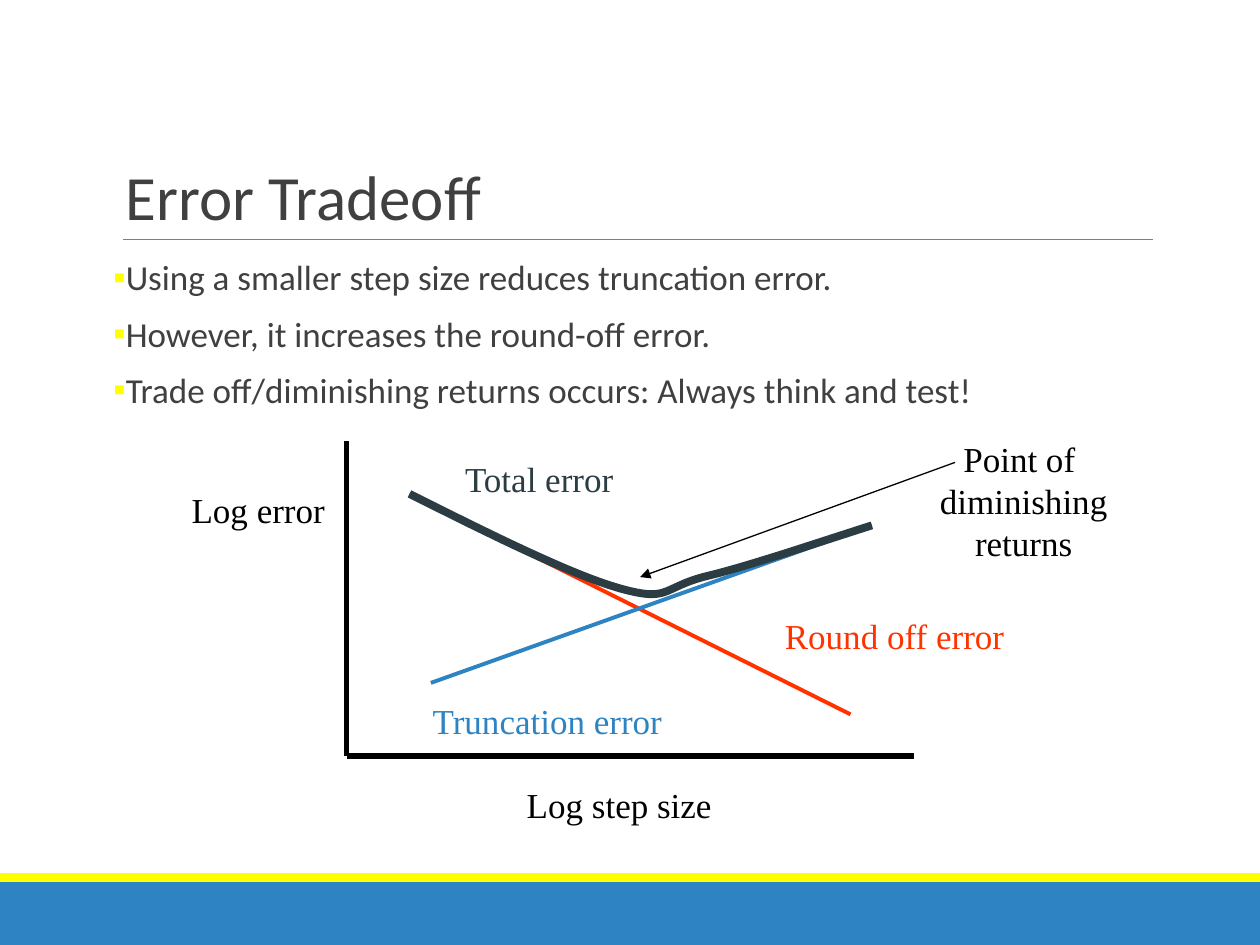
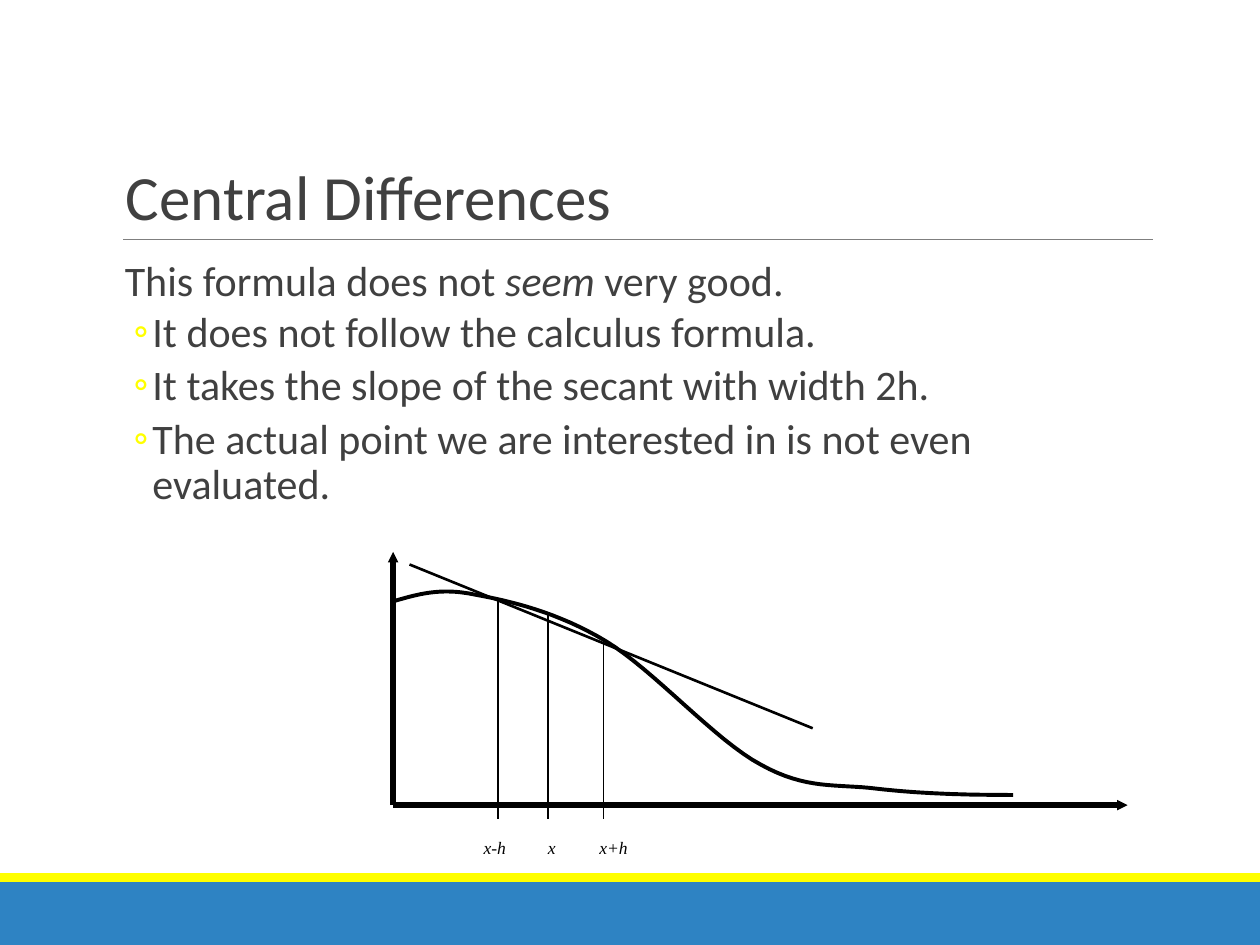
from dataclasses import dataclass

from lxml.etree import SubElement
from pptx import Presentation
from pptx.dml.color import RGBColor
from pptx.enum.shapes import MSO_CONNECTOR, MSO_SHAPE
from pptx.enum.text import MSO_ANCHOR, PP_ALIGN
from pptx.oxml.ns import qn
from pptx.util import Pt

PX = 9144  # EMU per px, 100 px to the inch
CURVE_STEPS = 16


@dataclass(frozen=True)
class Theme:
    blue: str = "2E83C3"
    yellow: str = "FFFF00"
    red: str = "FF3300"
    slate: str = "2C3C43"
    grey: str = "7F7F7F"
    ink: str = "404040"
    black: str = "000000"
    text_font: str = "Calibri"
    chart_font: str = "Times New Roman"
    title_size: int = 36
    label_size: int = 20
    tick_size: int = 10


@dataclass(frozen=True)
class BodyStyle:
    size: int
    bullet: str
    left: int
    indent: int
    before: float
    after: float


THEME = Theme()
POINT = BodyStyle(20, "▪", 7, -7, 9, 1.5)
LEAD = BodyStyle(24, "", 9, 0, 9, 1.5)
SUBPOINT = BodyStyle(24, "◦", 31, -15, 1.5, 3)

# Body paragraphs: style, then spans that alternate upright and italic
TRADEOFF_BODY = [
    (POINT, ["Using a smaller step size reduces truncation error."]),
    (POINT, ["However, it increases the round-off error."]),
    (POINT, ["Trade off/diminishing returns occurs: Always think and test!"]),
]
CENTRAL_BODY = [
    (LEAD, ["This formula does not ", "seem", " very good."]),
    (SUBPOINT, ["It does not follow the calculus formula."]),
    (SUBPOINT, ["It takes the slope of the secant with width 2h."]),
    (SUBPOINT, ["The actual point we are interested in is not even evaluated."]),
]

# Lines: start, end, colour, width in points
TRADEOFF_LINES = [
    ((275, 350), (275, 600), THEME.black, 3),
    ((275, 600), (725, 600), THEME.black, 3),
    ((325, 392), (675, 567), THEME.red, 2.25),
    ((342, 542), (692, 417), THEME.blue, 2.25),
]
# Curves: start point, then two control points and an end point for each piece
TOTAL_ERROR = [
    (325, 392),
    (389, 424), (453, 456), (492, 467),
    (531, 478), (525, 467), (558, 458),
    (592, 450), (642, 433), (692, 417),
]
# Labels: lines, left, top, width, colour
TRADEOFF_LABELS = [
    (["Log error"], 142, 383, 126, THEME.black),
    (["Log step size"], 408, 617, 167, THEME.black),
    (["Truncation error"], 333, 550, 203, THEME.blue),
    (["Round off error"], 613, 483, 194, THEME.red),
    (["Total error"], 358, 358, 140, THEME.slate),
    (["Point of ", "diminishing", "returns"], 736, 342, 153, THEME.black),
]
DIMINISHING_ARROW = ((758, 367), (508, 458))

ORIGIN = (312, 639)
AXIS_TIPS = [(312, 438), (895, 639)]
FUNCTION_CURVE = [
    (313, 477),
    (331, 472), (349, 466), (377, 472),
    (405, 477), (443, 486), (481, 509),
    (519, 532), (568, 588), (604, 607),
    (640, 627), (663, 622), (696, 626),
    (730, 630), (767, 631), (804, 631),
]
SECANT = ((325, 448), (645, 578))
TICK_BOTTOM = 650
# Ticks: label, x, top of the line, label left, label width
TICKS = [
    ("x-h", 395, 475, 374, 50),
    ("x", 435, 487, 425, 40),
    ("x+h", 479, 507, 466, 60),
]


def emu(*lengths):
    return [round(length * PX) for length in lengths]


def rgb(colour):
    return RGBColor.from_string(colour)


def add_band(page, top, height, colour):
    band = page.shapes.add_shape(MSO_SHAPE.RECTANGLE, *emu(0, top, 1000, height))
    band.shadow.inherit = False
    band.fill.solid()
    band.fill.fore_color.rgb = rgb(colour)
    band.line.fill.background()


def add_line(shapes, start, end, colour, width, head=None):
    """Draw a line; head is the arrowhead size at its end, "sm" or "med"."""
    line = shapes.add_connector(MSO_CONNECTOR.STRAIGHT, *emu(*start, *end))
    line.line.color.rgb = rgb(colour)
    line.line.width = Pt(width)
    if head:
        SubElement(line.line._get_or_add_ln(), qn("a:tailEnd"),
                   type="triangle", w=head, len=head)
    SubElement(line._element.spPr, qn("a:effectLst"))


def bezier_points(knots):
    """Sample a chain of cubic Bezier pieces."""
    for first in range(0, len(knots) - 1, 3):
        piece = knots[first:first + 4]
        for step in range(1, CURVE_STEPS + 1):
            t = step / CURVE_STEPS
            weights = ((1 - t) ** 3, 3 * t * (1 - t) ** 2, 3 * t * t * (1 - t), t ** 3)
            yield [sum(w * knot[axis] for w, knot in zip(weights, piece))
                   for axis in (0, 1)]


def add_curve(shapes, knots, colour, width):
    builder = shapes.build_freeform(*emu(*knots[0]))
    builder.add_line_segments([emu(*point) for point in bezier_points(knots)], close=False)
    curve = builder.convert_to_shape()
    curve.shadow.inherit = False
    curve.fill.background()
    curve.line.color.rgb = rgb(colour)
    curve.line.width = Pt(width)


def set_font(font, name, size, colour, italic=None):
    font.name = name
    font.size = Pt(size)
    font.color.rgb = rgb(colour)
    font.italic = italic


def add_label(shapes, lines, left, top, width, height, size, colour,
              align=PP_ALIGN.CENTER, italic=None):
    box = shapes.add_textbox(*emu(left, top, width, height))
    frame = box.text_frame
    # Centred labels may outgrow their box; left-aligned ones have room to spare
    frame.word_wrap = align == PP_ALIGN.LEFT
    frame.text = "\n".join(lines)
    for para in frame.paragraphs:
        para.alignment = align
        set_font(para.font, THEME.chart_font, size, colour, italic)


def add_title(page, title):
    frame = page.shapes.add_textbox(*emu(90, 31, 825, 159)).text_frame
    frame.word_wrap = True
    frame.vertical_anchor = MSO_ANCHOR.BOTTOM
    para = frame.paragraphs[0]
    para.text = title
    para.line_spacing = 0.85
    set_font(para.font, THEME.text_font, THEME.title_size, THEME.ink)


def set_bullet(para, style):
    properties = para._p.get_or_add_pPr()
    left, indent = emu(style.left, style.indent)
    properties.set("marL", str(left))
    properties.set("indent", str(indent))
    if style.bullet:
        bullet_colour = SubElement(properties, qn("a:buClr"))
        SubElement(bullet_colour, qn("a:srgbClr"), val=THEME.yellow)
        SubElement(properties, qn("a:buFont"), typeface=THEME.text_font)
        SubElement(properties, qn("a:buChar"), char=style.bullet)


def add_body(page, paragraphs):
    frame = page.shapes.add_textbox(*emu(90, 202, 825, 440)).text_frame
    frame.word_wrap = True
    frame.margin_left = frame.margin_right = 0
    for number, (style, spans) in enumerate(paragraphs):
        para = frame.add_paragraph() if number else frame.paragraphs[0]
        para.line_spacing = 0.9
        para.space_before = Pt(style.before)
        para.space_after = Pt(style.after)
        set_bullet(para, style)
        set_font(para.font, THEME.text_font, style.size, THEME.ink)
        for position, words in enumerate(spans):
            span = para.add_run()
            span.text = words
            if position % 2:
                span.font.italic = True


def add_page(deck, title, body):
    page = deck.slides.add_slide(deck.slide_layouts[6])
    add_band(page, 700, 50, THEME.blue)
    add_band(page, 693, 7, THEME.yellow)
    add_line(page.shapes, (98, 190), (915, 190), THEME.grey, 0.5)
    add_title(page, title)
    add_body(page, body)
    return page


def draw_tradeoff(shapes):
    for line in TRADEOFF_LINES:
        add_line(shapes, *line)
    add_curve(shapes, TOTAL_ERROR, THEME.slate, 4.5)
    add_line(shapes, *DIMINISHING_ARROW, THEME.black, 0.75, head="med")
    for lines, left, top, width, colour in TRADEOFF_LABELS:
        height = 11 + 33 * len(lines)
        add_label(shapes, lines, left, top, width, height, THEME.label_size, colour)


def draw_central_difference(shapes):
    for tip in AXIS_TIPS:
        add_line(shapes, ORIGIN, tip, THEME.black, 3, head="sm")
    add_curve(shapes, FUNCTION_CURVE, THEME.black, 2.25)
    for name, x, top, left, width in TICKS:
        add_line(shapes, (x, top), (x, TICK_BOTTOM), THEME.black, 1)
        add_label(shapes, [name], left, 659, width, 27, THEME.tick_size,
                  THEME.black, PP_ALIGN.LEFT, italic=True)
    add_line(shapes, *SECANT, THEME.black, 1.5)


def main():
    deck = Presentation()
    deck.slide_width, deck.slide_height = emu(1000, 750)
    tradeoff = add_page(deck, "Error Tradeoff", TRADEOFF_BODY)
    draw_tradeoff(tradeoff.shapes)
    central = add_page(deck, "Central Differences", CENTRAL_BODY)
    draw_central_difference(central.shapes.add_group_shape().shapes)
    deck.save("out.pptx")


if __name__ == "__main__":
    main()
